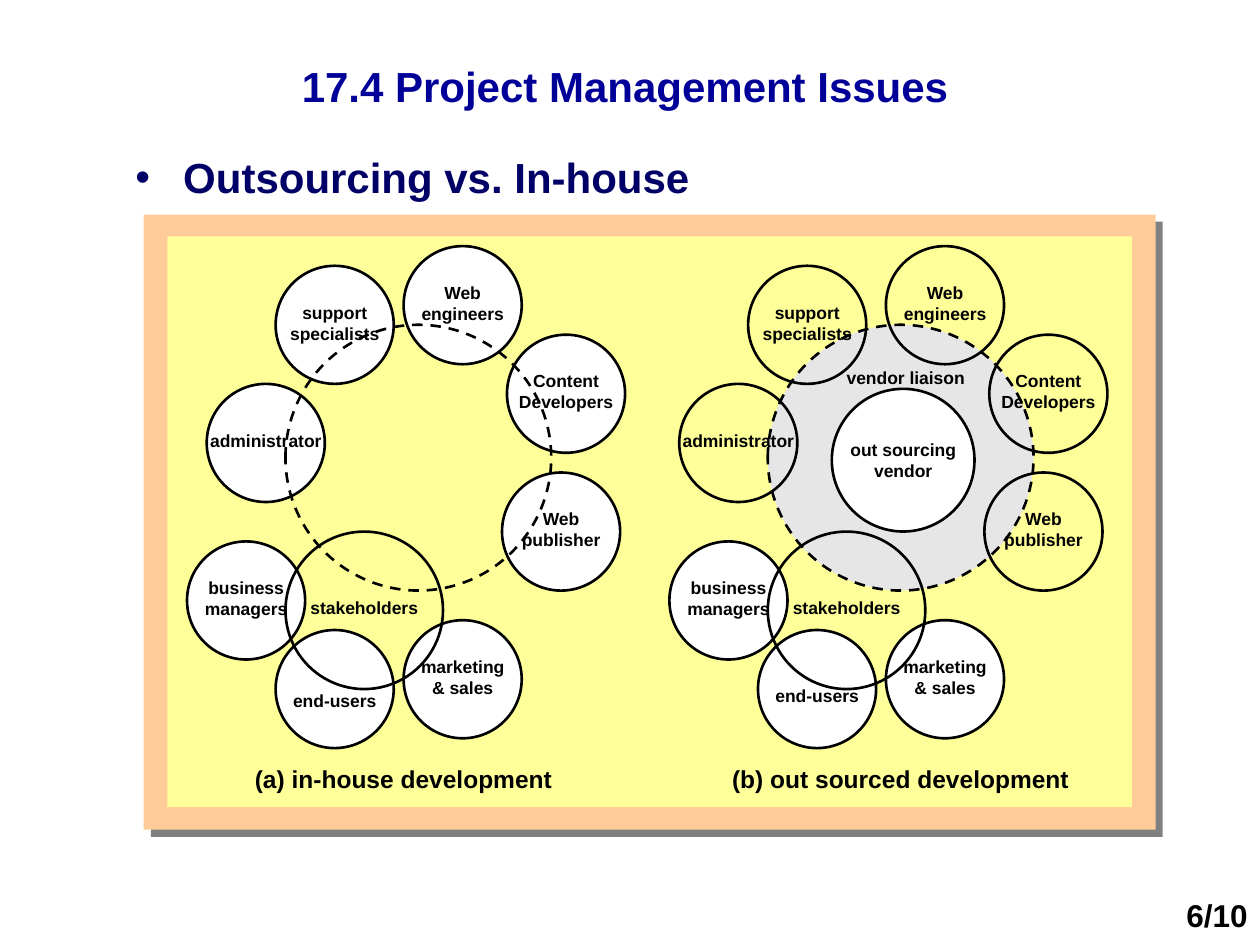
import dataclasses

import pptx
import pptx.dml.color
import pptx.enum.dml
import pptx.enum.shapes
import pptx.enum.text
import pptx.oxml
import pptx.oxml.ns
import pptx.util

ALIGN = pptx.enum.text.PP_ALIGN
ANCHOR = pptx.enum.text.MSO_ANCHOR
SHAPE = pptx.enum.shapes.MSO_SHAPE
WIDTH, HEIGHT = 10, 7.5
UNIT = WIDTH / 128  # one column or row of the square grid


@dataclasses.dataclass(frozen=True)
class Theme:
    font: str = "Arial"
    title: str = "000099"
    bullet: str = "000066"
    ink: str = "000000"
    frame: str = "FFCC99"
    panel: str = "FFFF99"
    shadow: str = "808080"
    ring: str = "E6E6E6"
    white: str = "FFFFFF"
    heading_size: int = 24
    number_size: int = 18
    caption_size: int = 14
    label_size: int = 10
    line_width: float = 1.5


@dataclasses.dataclass(frozen=True)
class Role:
    """A labelled circle; positions are columns and rows from its panel's corner."""
    text: str
    column: float
    row: float
    size: float = 12
    label_width: float = 12
    lines: int = 2
    drop: float = 3  # rows from the circle's top to the label's top


THEME = Theme()
PANEL_ROW = 25
RING = (10, 8, 27)
CORE_TEAM = [
    Role("Web engineers", 22, 0, label_width=11),
    Role("Content Developers", 32.5, 9, label_width=13),
    Role("support specialists", 9, 2),
    Role("administrator", 2, 14, label_width=14, lines=1, drop=4),
    Role("Web publisher", 32, 23),
]
OUTSOURCED_COLUMNS = {"support specialists": 8, "administrator": 1}
BUSINESS = [
    Role("business managers", 0, 30),
    Role("end-users", 9, 39, lines=1, drop=5.5),
    Role("marketing & sales", 22, 38),
]
STAKEHOLDERS = Role("stakeholders", 10, 29, size=16, label_width=14, lines=1, drop=6)
VENDOR = Role("out sourcing vendor", 16.5, 14.5, size=14.5, label_width=14, drop=4.5)


def rgb(value):
    return pptx.dml.color.RGBColor.from_string(value)


def grid(*cells):
    return [pptx.util.Inches(cell * UNIT) for cell in cells]


def apply(target, values):
    for name, value in values.items():
        setattr(target, name, value)


def add_text(page, text, area, size, color=THEME.ink, align=ALIGN.CENTER,
             anchor=ANCHOR.TOP):
    box = page.shapes.add_textbox(*grid(*area))
    apply(box.text_frame, {"word_wrap": True, "vertical_anchor": anchor})
    para = box.text_frame.paragraphs[0]
    para.alignment = align
    span = para.add_run()
    span.text = text
    apply(span.font, {"name": THEME.font, "size": pptx.util.Pt(size), "bold": True})
    span.font.color.rgb = rgb(color)
    return para


def add_bullet(para, color, indent):
    properties = para._p.get_or_add_pPr()
    apply_indent = {"marL": indent, "indent": -indent}
    for name, value in apply_indent.items():
        properties.set(name, str(int(value)))
    namespace = pptx.oxml.ns.nsdecls("a")
    for xml in (f'<a:buClr {namespace}><a:srgbClr val="{color}"/></a:buClr>',
                f'<a:buFont {namespace} typeface="{THEME.font}"/>',
                f'<a:buChar {namespace} char="•"/>'):
        properties.append(pptx.oxml.parse_xml(xml))


def add_block(page, area, color):
    block = page.shapes.add_shape(SHAPE.RECTANGLE, *grid(*area))
    block.shadow.inherit = False
    block.fill.solid()
    block.fill.fore_color.rgb = rgb(color)
    block.line.fill.background()
    return block


def add_hard_shadow(block, distance):
    effects = block._element.spPr.find(pptx.oxml.ns.qn("a:effectLst"))
    effects.append(pptx.oxml.parse_xml(
        f'<a:outerShdw {pptx.oxml.ns.nsdecls("a")} dist="{distance}" dir="2700000" '
        f'algn="ctr" rotWithShape="0"><a:srgbClr val="{THEME.shadow}"/></a:outerShdw>'))


def add_circle(page, column, row, size, fill=None, dashed=False):
    circle = page.shapes.add_shape(SHAPE.OVAL, *grid(column, row, size, size))
    circle.shadow.inherit = False
    if fill:
        circle.fill.solid()
        circle.fill.fore_color.rgb = rgb(fill)
    else:
        circle.fill.background()
    circle.line.color.rgb = rgb(THEME.ink)
    circle.line.width = pptx.util.Pt(THEME.line_width)
    if dashed:
        circle.line.dash_style = pptx.enum.dml.MSO_LINE.DASH


def add_role_circles(page, roles, origin, fill=None):
    for role in roles:
        add_circle(page, origin + role.column, PANEL_ROW + role.row, role.size, fill)


def add_label(page, text, column, row, width, lines):
    height = 1.3 + 2.15 * lines
    add_text(page, text, (column, row, width, height), THEME.label_size)


def add_role_labels(page, roles, origin):
    """Centre each label on its circle."""
    for role in roles:
        column = origin + role.column + (role.size - role.label_width) / 2
        add_label(page, role.text, column, PANEL_ROW + role.row + role.drop,
                  role.label_width, role.lines)


def add_ring(page, origin, fill=None):
    column, row, size = RING
    add_circle(page, origin + column, PANEL_ROW + row, size, fill, dashed=True)


def add_stakeholder_circles(page, origin):
    add_role_circles(page, BUSINESS, origin, THEME.white)
    add_role_circles(page, [STAKEHOLDERS], origin)


def add_in_house_panel(page, origin):
    add_role_circles(page, CORE_TEAM, origin, THEME.white)
    add_ring(page, origin)
    add_stakeholder_circles(page, origin)
    add_role_labels(page, CORE_TEAM + BUSINESS + [STAKEHOLDERS], origin)
    add_text(page, "(a) in-house development", (origin + 5, 77, 34, 4.4),
             THEME.caption_size)


def add_outsourced_panel(page, origin):
    team = [dataclasses.replace(role, column=OUTSOURCED_COLUMNS.get(role.text, role.column))
            for role in CORE_TEAM]
    business = [dataclasses.replace(role, drop=min(role.drop, 5)) for role in BUSINESS]
    add_ring(page, origin, THEME.ring)
    add_role_circles(page, team, origin)
    add_role_circles(page, [VENDOR], origin, THEME.white)
    add_stakeholder_circles(page, origin)
    add_role_labels(page, team + business + [STAKEHOLDERS, VENDOR], origin)
    add_label(page, "vendor liaison", origin + 14, PANEL_ROW + 11.6, 20, 1)
    add_text(page, "(b) out sourced development", (origin + 5, 77, 37, 4.4),
             THEME.caption_size)


def main():
    deck = pptx.Presentation()
    apply(deck, {"slide_width": pptx.util.Inches(WIDTH),
                 "slide_height": pptx.util.Inches(HEIGHT)})
    page = deck.slides.add_slide(deck.slide_layouts[6])
    add_text(page, "17.4 Project Management Issues", (11.5, 2.7, 104, 12),
             THEME.heading_size, THEME.title, anchor=ANCHOR.MIDDLE)
    topic = add_text(page, "Outsourcing vs. In-house", (12.5, 14.75, 106, 10),
                     THEME.heading_size, THEME.bullet, ALIGN.LEFT)
    add_bullet(topic, THEME.bullet, pptx.util.Inches(0.38))
    frame = add_block(page, (14.6, 21.8, 102.8, 62.5), THEME.frame)
    add_hard_shadow(frame, pptx.util.Pt(5.7))
    add_block(page, (17, 24, 98, 58), THEME.panel)
    add_in_house_panel(page, 19)
    add_outsourced_panel(page, 68)
    add_text(page, "6/10", (116.5, 90.4, 11.5, 5.1), THEME.number_size, align=ALIGN.RIGHT)
    deck.save("out.pptx")


if __name__ == "__main__":
    main()
